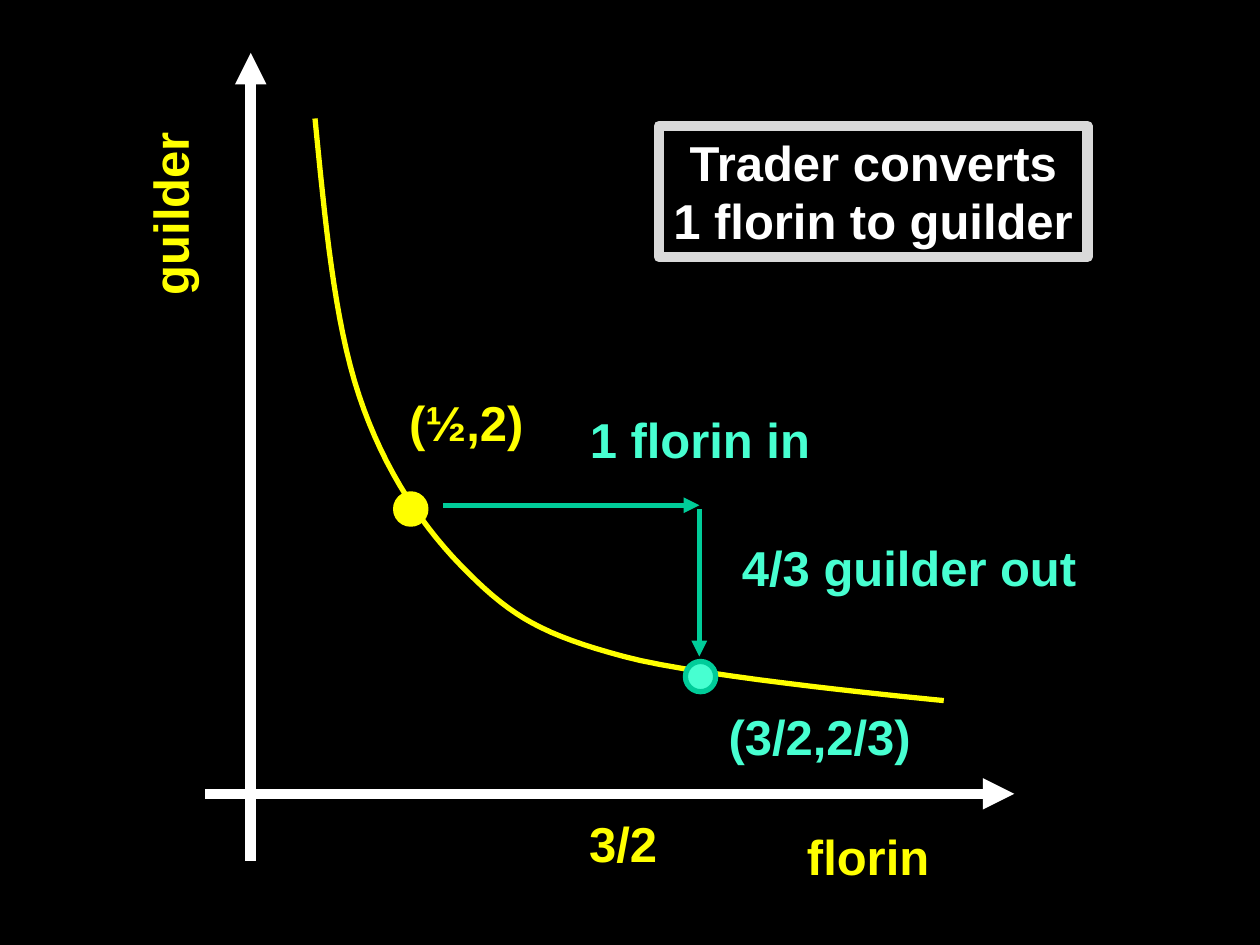
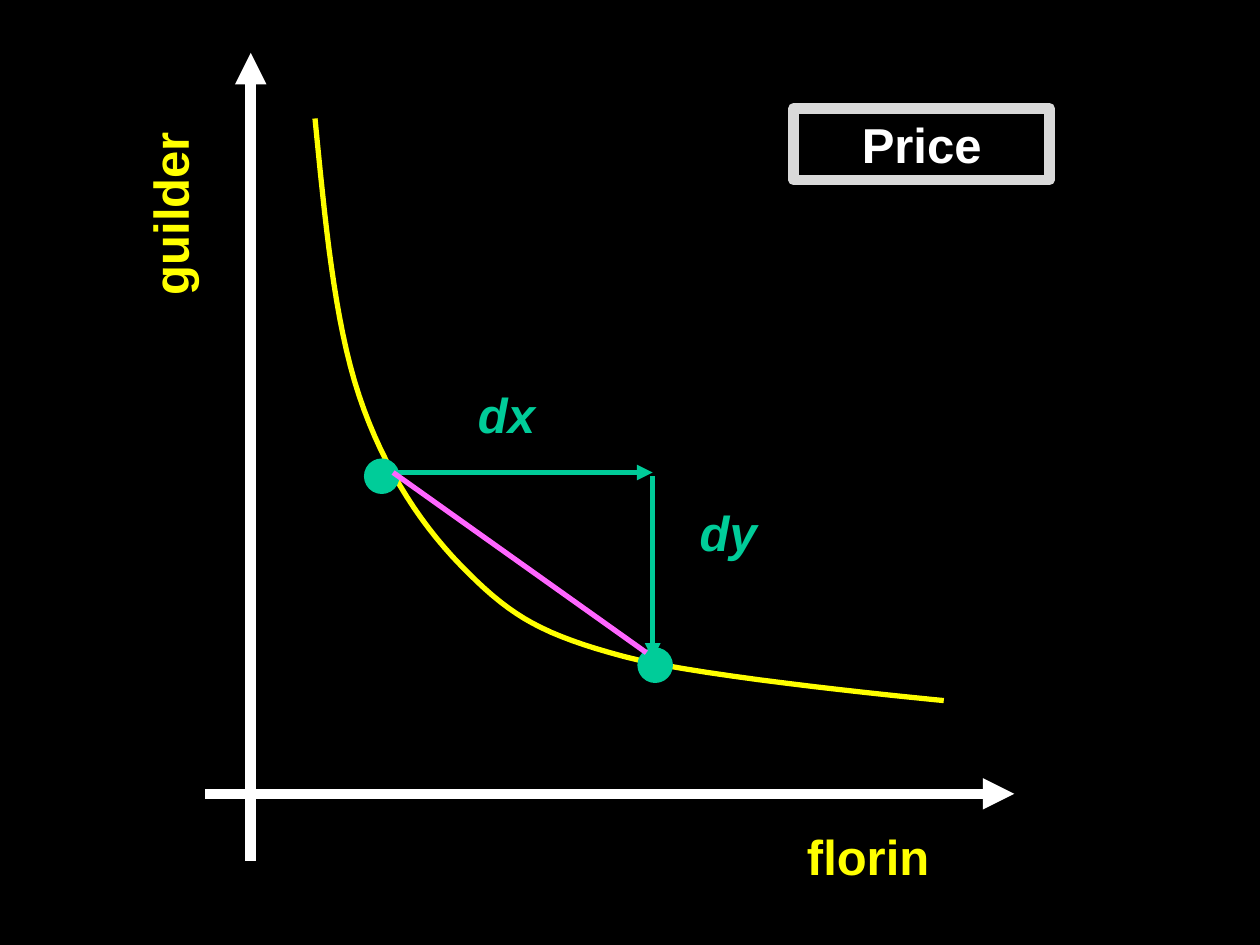
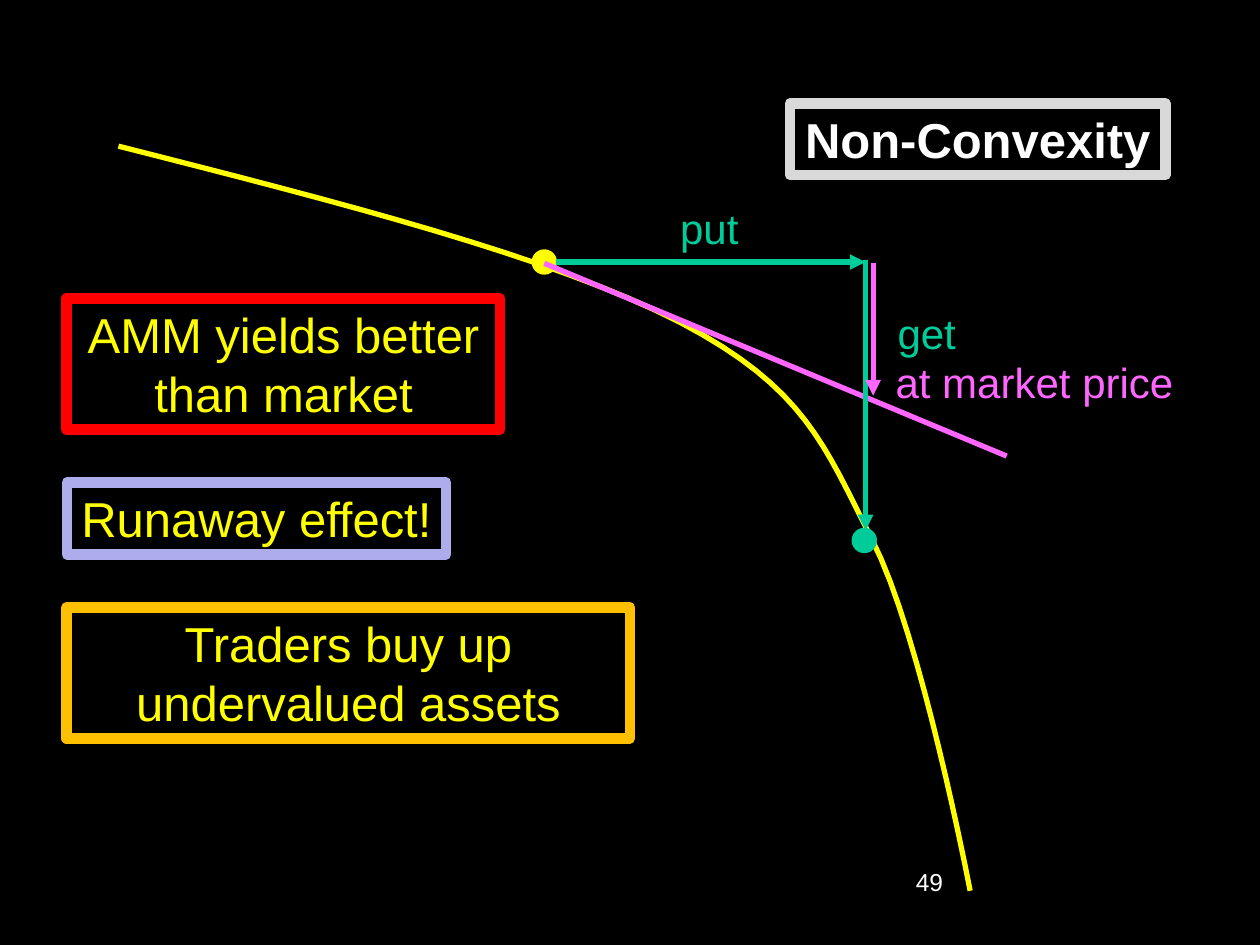
import pptx
import pptx.dml.color
import pptx.enum.shapes
import pptx.enum.text
import pptx.oxml.ns
import pptx.util
from lxml import etree

PX = 9144  # 100 px to the inch
BLACK, WHITE, GREY = "000000", "FFFFFF", "D9D9D9"
YELLOW, GREEN, MINT, PINK = "FFFF00", "00CC99", "47FFD1", "FF66FF"
RED, GOLD, LILAC = "FF0000", "FFC000", "ADADEB"
STEPS = 16


def rgb(code):
    return pptx.dml.color.RGBColor.from_string(code)


def bend(points):
    """Trace a chain of cubic curves: a start, then three points for each."""
    trace = [points[0]]
    for i in range(0, len(points) - 1, 3):
        a, b, c, d = points[i:i + 4]
        for step in range(1, STEPS + 1):
            t = step / STEPS
            u = 1 - t
            trace.append(tuple(
                round(PX * (u**3 * a[k] + 3 * u * u * t * b[k]
                            + 3 * u * t * t * c[k] + t**3 * d[k]))
                for k in (0, 1)))
    trace[0] = (PX * points[0][0], PX * points[0][1])
    return trace


convex = [(250, 94), (258, 174), (265, 254), (285, 314),
          (305, 374), (337, 421), (372, 455),
          (407, 490), (432, 504), (495, 521),
          (558, 538), (749, 556), (749, 556)]
concave = [(94, 116), (267, 160), (440, 204), (540, 256),
           (639, 308), (654, 353), (692, 428),
           (731, 503), (770, 707), (770, 707)]

# Label: text, left, top, width, height, colour, size, style, frame
# Style: b bold, i italic, l left
names = [
    ("florin", 630, 651, 118, 57, YELLOW, 28, "b", None),
    ("guilder", 59, 141, 151, 57, YELLOW, 28, "b", None),
]
# Mark: kind, then from, to and colour of a line,
# or left, top, width, fill and edge of a dot
axes = [
    ("arrow", 163, 630, 805, 630, WHITE),
    ("arrow", 199, 683, 199, 42, WHITE),
]

trade = (convex, names + [
    ("3/2", 457, 641, 75, 57, YELLOW, 28, "b", None),
    ("(½,2)", 314, 307, 112, 57, YELLOW, 28, "b", None),
    ("(3/2,2/3)", 567, 556, 167, 57, MINT, 28, "b", None),
    ("4/3 guilder out", 577, 422, 289, 57, MINT, 28, "b", None),
    ("1 florin in", 457, 320, 197, 57, MINT, 28, "b", None),
    ("Trader converts 1 florin to guilder",
     523, 100, 340, 104, WHITE, 28, "b", GREY),
], axes + [
    ("dot", 314, 392, 24, YELLOW, YELLOW),
    ("arrow", 352, 401, 555, 401, GREEN),
    ("dot", 544, 525, 24, MINT, GREEN),
    ("arrow", 555, 404, 555, 521, GREEN),
])

price = (convex, names + [
    ("dx", 369, 300, 66, 57, GREEN, 28, "bi", None),
    ("dy", 545, 394, 66, 57, GREEN, 28, "bi", None),
    ("Price", 630, 86, 203, 57, WHITE, 28, "b", GREY),
], axes + [
    ("arrow", 314, 375, 518, 375, GREEN),
    ("arrow", 518, 378, 518, 523, GREEN),
    ("dot", 291, 366, 24, GREEN, GREEN),
    ("dot", 508, 516, 24, GREEN, GREEN),
    ("line", 312, 375, 513, 518, PINK),
])

runaway = (concave, [
    ("49", 717, 683, 208, 50, WHITE, 14, "l", None),
    ("Non-Convexity", 627, 82, 298, 57, WHITE, 28, "b", GREY),
    ("put", 520, 156, 86, 50, GREEN, 24, "", None),
    ("get", 702, 239, 67, 54, GREEN, 24, "", None),
    ("at market price", 697, 278, 248, 50, PINK, 24, "", None),
    ("AMM yields better than market",
     53, 237, 344, 104, YELLOW, 28, "", RED),
    ("Runaway effect!", 53, 383, 301, 57, YELLOW, 28, "", LILAC),
    ("Traders buy up undervalued assets",
     53, 482, 447, 104, YELLOW, 28, "", GOLD),
], [
    ("dot", 424, 200, 16, YELLOW, YELLOW),
    ("line", 432, 209, 799, 362, PINK),
    ("arrow", 441, 208, 687, 208, GREEN),
    ("arrow", 687, 206, 687, 421, GREEN),
    ("arrow", 693, 209, 693, 314, PINK),
    ("dot", 678, 421, 16, GREEN, GREEN),
])

deck = pptx.Presentation()
deck.slide_width, deck.slide_height = 1000 * PX, 750 * PX

for curve, labels, marks in (trade, price, runaway):
    slide = deck.slides.add_slide(deck.slide_layouts[6])
    slide.background.fill.solid()
    slide.background.fill.fore_color.rgb = rgb(BLACK)
    shapes = slide.shapes

    trace = bend(curve)
    pen = shapes.build_freeform(*trace[0])
    pen.add_line_segments(trace[1:], close=False)
    path = pen.convert_to_shape()
    path.shadow.inherit = False
    path.fill.background()
    path.line.color.rgb = rgb(YELLOW)
    path.line.width = pptx.util.Pt(3)

    for text, x, y, w, h, color, size, style, edge in labels:
        box = shapes.add_textbox(x * PX, y * PX, w * PX, h * PX)
        if text == "guilder":
            box.rotation = 270
        if edge:
            box.fill.solid()
            box.fill.fore_color.rgb = rgb(BLACK)
            box.line.color.rgb = rgb(edge)
            box.line.width = pptx.util.Pt(6)
        frame = box.text_frame
        frame.text = text
        frame.word_wrap = h > 100 or "l" in style
        para = frame.paragraphs[0]
        align = pptx.enum.text.PP_ALIGN
        para.alignment = align.LEFT if "l" in style else align.CENTER
        font = para.runs[0].font
        font.name = "Arial"
        font.size = pptx.util.Pt(size)
        font.bold = "b" in style
        font.italic = "i" in style
        font.color.rgb = rgb(color)

    for kind, x, y, *rest in marks:
        if kind == "dot":
            w, fill, color = rest
            mark = shapes.add_shape(pptx.enum.shapes.MSO_SHAPE.OVAL,
                                    x * PX, y * PX, w * PX, w * PX)
            mark.shadow.inherit = False
            mark.fill.solid()
            mark.fill.fore_color.rgb = rgb(fill)
        else:
            right, base, color = rest
            mark = shapes.add_connector(
                pptx.enum.shapes.MSO_CONNECTOR.STRAIGHT,
                x * PX, y * PX, right * PX, base * PX)
        mark.line.color.rgb = rgb(color)
        mark.line.width = pptx.util.Pt(6 if color == WHITE else 3)
        if kind == "arrow":
            etree.SubElement(mark.line._get_or_add_ln(),
                             pptx.oxml.ns.qn("a:tailEnd"), type="triangle")
        if kind != "dot":
            etree.SubElement(mark._element.spPr,
                             pptx.oxml.ns.qn("a:effectLst"))

deck.save("out.pptx")
